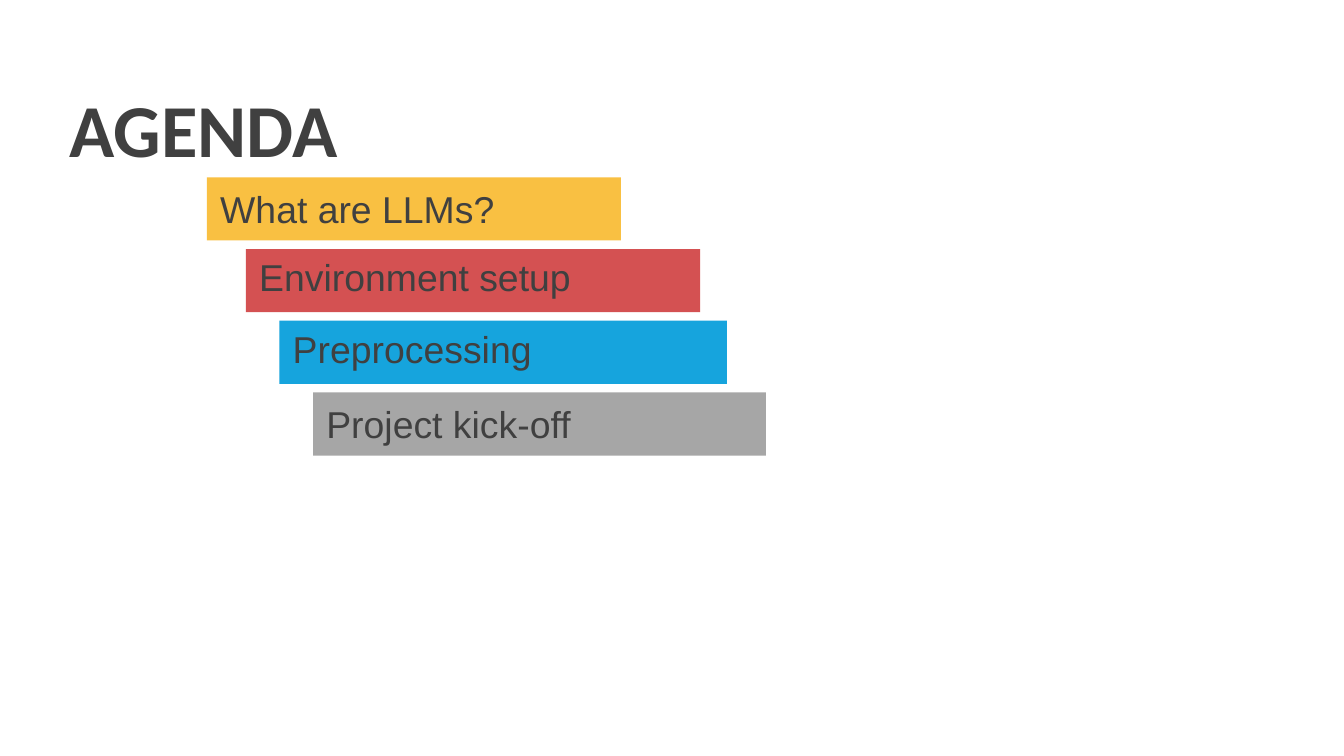
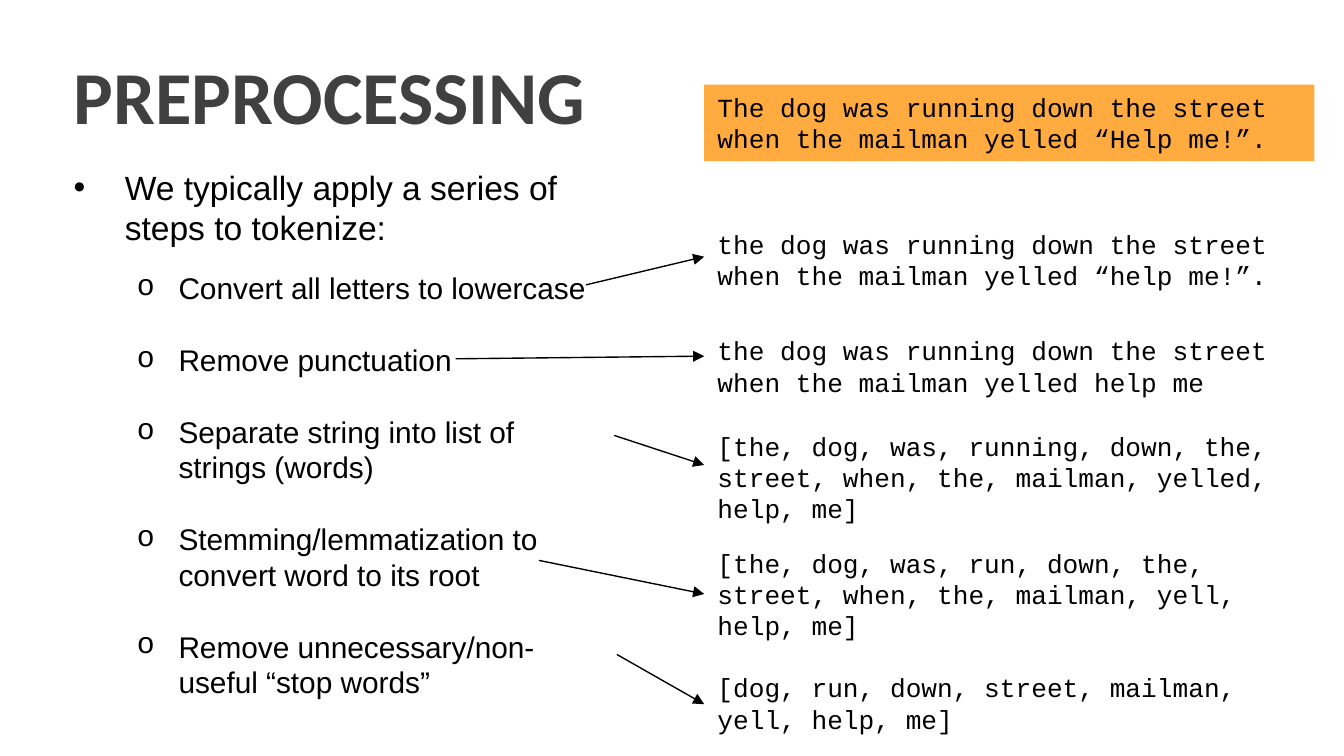
from lxml.etree import SubElement
from pptx import Presentation
from pptx.dml.color import RGBColor
from pptx.enum.shapes import MSO_CONNECTOR, MSO_SHAPE
from pptx.enum.text import MSO_ANCHOR, MSO_AUTO_SIZE, PP_ALIGN
from pptx.oxml.ns import qn
from pptx.util import Inches, Pt

COLORS = {
    "ink": "404040", "black": "000000", "gold": "F9C042", "red": "D45152",
    "blue": "16A4DD", "gray": "A6A6A6", "orange": "FFAB40",
}
TITLE = {"name": "Calibri", "size": Pt(40), "bold": True, "color": "ink"}
BAR = {"name": "Arial", "size": Pt(20), "color": "ink"}
LEAD = {"name": "Arial", "size": Pt(18), "color": "black"}
STEP = {"name": "Arial", "size": Pt(16), "color": "black"}
CODE = {"name": "Courier New", "size": Pt(14), "color": "black"}

TOPICS = [  # text, fill, offset from the first bar, width, line spacing
    ("What are LLMs?", "gold", 0, 3.08, None),
    ("Environment setup", "red", 0.29, 3.38, 0.8),
    ("Preprocessing", "blue", 0.54, 3.33, 0.8),
    ("Project kick-off", "gray", 0.79, 3.37, None),
]
SOURCE = "The dog was running down the street when the mailman yelled “Help me!”."
STAGES = [  # step, result, top and height of result, start of arrow, height of its tip
    ("Convert all letters to lowercase",
     "the dog was running down the street when the mailman yelled “help me!”.",
     1.65, 0.57, (4.36, 2.12), 1.91),
    ("Remove punctuation",
     "the dog was running down the street when the mailman yelled help me",
     2.44, 0.57, (3.39, 2.67), 2.65),
    ("Separate string into list of strings (words)",
     "[the, dog, was, running, down, the, street, when, the, mailman, yelled, help, me]",
     3.15, 0.81, (4.57, 3.24), 3.46),
    ("Stemming/lemmatization to convert word to its root",
     "[the, dog, was, run, down, the, street, when, the, mailman, yell, help, me]",
     4.02, 0.81, (4.01, 4.17), 4.42),
    ("Remove unnecessary/non-useful “stop words”",
     "[dog, run, down, street, mailman, yell, help, me]",
     4.95, 0.57, (4.59, 4.87), 5.24),
]


def paint(name):
    return RGBColor.from_string(COLORS[name])


def write(shape, lines, style, pad=0.1, **frame):
    """Fill a shape with one styled paragraph per line."""
    text = shape.text_frame
    text.text = "\n".join(lines)
    look = {
        "word_wrap": True, "vertical_anchor": MSO_ANCHOR.TOP,
        "margin_left": Inches(0.1), "margin_right": Inches(0.1),
        "margin_top": Inches(pad), "margin_bottom": Inches(pad), **frame,
    }
    for key, value in look.items():
        setattr(text, key, value)
    for para in text.paragraphs:
        para.alignment = PP_ALIGN.LEFT
        font = para.runs[0].font
        for key, value in style.items():
            if key == "color":
                font.color.rgb = paint(value)
            else:
                setattr(font, key, value)
    return text.paragraphs


def label(slide, box, lines, style, **frame):
    shape = slide.shapes.add_textbox(*map(Inches, box))
    return write(shape, lines, style, **frame)


def block(slide, box, fill, line, style, **frame):
    """Draw a filled rectangle that holds one line of text."""
    shape = slide.shapes.add_shape(MSO_SHAPE.RECTANGLE, *map(Inches, box))
    shape.shadow.inherit = False
    shape.fill.solid()
    shape.fill.fore_color.rgb = paint(fill)
    shape.line.fill.background()
    return write(shape, [line], style, **frame)


def bullet(para, mark, face, indent):
    props = para._p.get_or_add_pPr()
    props.set("marL", str(Inches(indent)))
    props.set("indent", str(-Inches(indent)))
    color = SubElement(props, qn("a:buClr"))
    SubElement(color, qn("a:srgbClr"), val=COLORS["black"])
    SubElement(props, qn("a:buFont"), typeface=face)
    SubElement(props, qn("a:buChar"), char=mark)


def arrow(slide, start, end):
    line = slide.shapes.add_connector(
        MSO_CONNECTOR.STRAIGHT, *map(Inches, (*start, *end)))
    line.line.color.rgb = paint("black")
    line.line.width = Pt(0.75)
    SubElement(line.line._get_or_add_ln(), qn("a:tailEnd"), type="triangle")
    SubElement(line._element.spPr, qn("a:effectLst"))


def stairs(slide, box):
    """Stack the topic bars, each further to the right."""
    left, top, height, drop = box
    pitch = drop / (len(TOPICS) - 1)
    for row, (topic, fill, shift, width, gap) in enumerate(TOPICS):
        place = (left + shift, top + row * pitch, width, height)
        paras = block(slide, place, fill, topic, BAR,
                      vertical_anchor=MSO_ANCHOR.MIDDLE)
        if gap:
            paras[0].line_spacing = gap


def steps(slide, box):
    """Place the lead bullet and the list of steps below it."""
    left, top, width, height = box
    lead = label(slide, box, ["We typically apply a series of steps to tokenize:"], LEAD)
    bullet(lead[0], "•", "Arial", 0.38)
    place = (left + 0.47, top + 0.82, width - 0.12, height - 0.82)
    paras = label(slide, place, [stage[0] for stage in STAGES], STEP, pad=0.05)
    for para in paras:
        bullet(para, "o", "Courier New", 0.31)
    for para in paras[:-1]:
        para.space_after = Pt(19.2)


def results(slide, box):
    """Place the source sentence, then each result with its arrow."""
    left, top, width, height = box
    frame = {"pad": 0.05, "auto_size": MSO_AUTO_SIZE.SHAPE_TO_FIT_TEXT}
    block(slide, box, "orange", SOURCE, CODE, **frame)
    for _, result, y, tall, start, tip in STAGES:
        label(slide, (left, y, width, tall), [result], CODE, **frame)
        arrow(slide, start, (left, tip))


def agenda(slide):
    label(slide, (0.42, 0.52, 4.01, 0.63), ["AGENDA"], TITLE)
    stairs(slide, (1.54, 1.32, 0.47, 1.6))


def process(slide):
    label(slide, (0.45, 0.27, 6.84, 3.28), ["PREPROCESSING"], TITLE)
    steps(slide, (0.45, 1.14, 3.81, 4.15))
    results(slide, (5.24, 0.63, 4.54, 0.57))


def main():
    deck = Presentation()
    deck.slide_width = Inches(10)
    deck.slide_height = deck.slide_width * 9 // 16
    for build in (agenda, process):
        build(deck.slides.add_slide(deck.slide_layouts[6]))
    deck.save("out.pptx")


if __name__ == "__main__":
    main()
